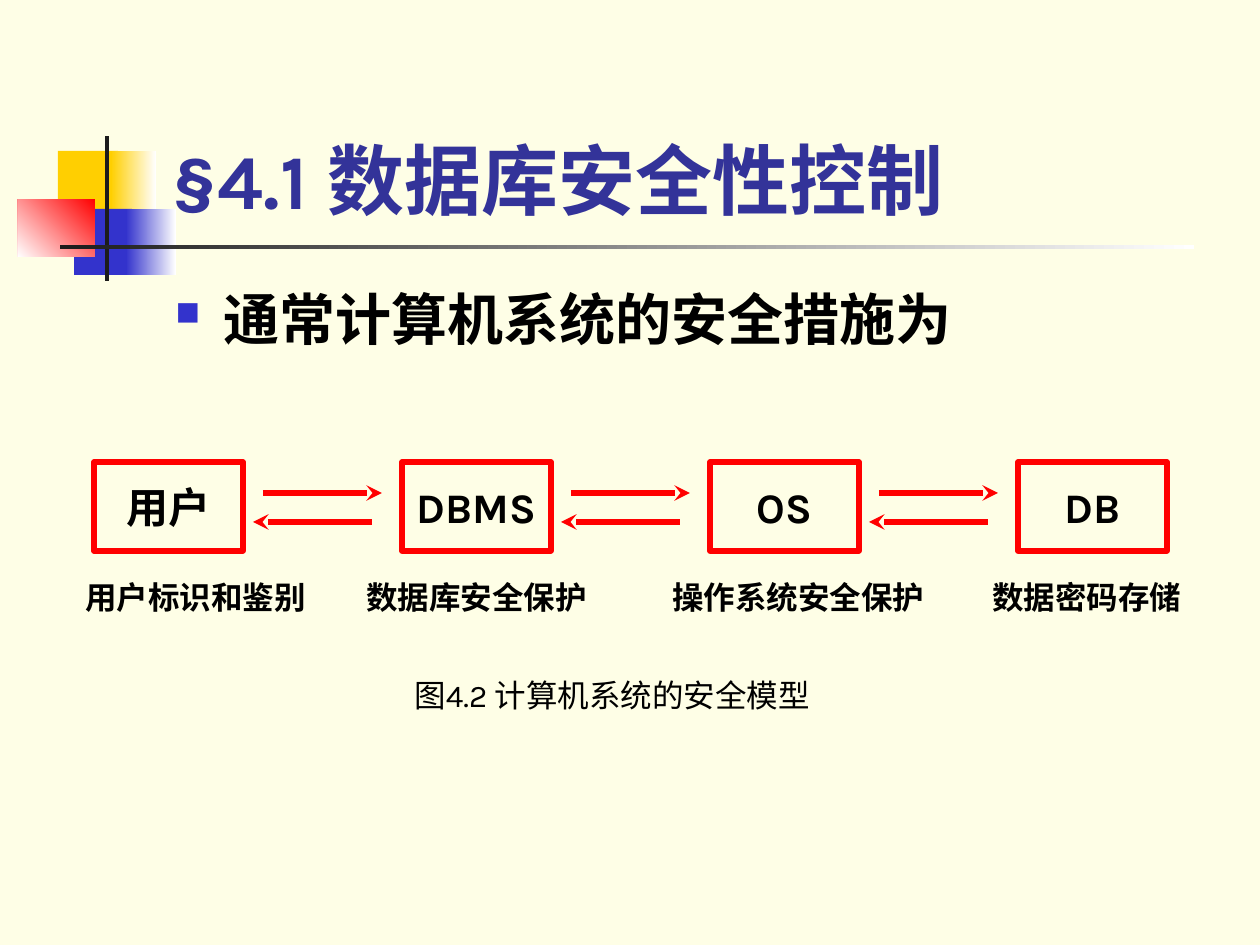
"""Build the slide on the security model of a computer system."""
import dataclasses

import lxml.etree
import pptx
import pptx.dml.color
import pptx.enum.shapes
import pptx.enum.text
import pptx.oxml.ns
import pptx.util

EMU_PER_PX = 914400 / 126


@dataclasses.dataclass(frozen=True)
class Theme:
    """Colours, font and type sizes of the slide."""

    font: str = "Karla"
    background: str = "FEFEE6"
    title: str = "333399"
    text: str = "000000"
    accent: str = "FF0000"
    yellow: str = "FFCF01"
    blue: str = "3333CC"
    dark: str = "1C1C1C"
    white: str = "FFFFFF"
    title_size: int = 44
    body_size: int = 32
    box_size: int = 24
    label_size: int = 18
    line_width: int = 3


THEME = Theme()


def px(length):
    """Turn a length in px into EMU."""
    return pptx.util.Emu(round(length * EMU_PER_PX))


def rgb(colour):
    """Turn a hex string into a colour."""
    return pptx.dml.color.RGBColor.from_string(colour)


def add_xml(parent, tag, **attributes):
    """Append a DrawingML element to a parent."""
    return lxml.etree.SubElement(parent, pptx.oxml.ns.qn(tag), attributes)


def write(shape, text, size, colour=THEME.text, bold=True, wrap=True,
          anchor=pptx.enum.text.MSO_ANCHOR.TOP, align=pptx.enum.text.PP_ALIGN.LEFT):
    """Set and format the single paragraph of a shape."""
    frame = shape.text_frame
    frame.text = text
    frame.auto_size = pptx.enum.text.MSO_AUTO_SIZE.NONE
    frame.word_wrap = wrap
    frame.vertical_anchor = anchor
    paragraph = frame.paragraphs[0]
    paragraph.alignment = align
    for run in paragraph.runs:
        run.font.name = THEME.font
        run.font.size = pptx.util.Pt(size)
        run.font.bold = bold
        run.font.color.rgb = rgb(colour)
    return paragraph


def add_rectangle(slide, left, top, width, height):
    """Add a rectangle without shadow, fill or outline."""
    shape = slide.shapes.add_shape(
        pptx.enum.shapes.MSO_SHAPE.RECTANGLE, px(left), px(top), px(width), px(height))
    shape.shadow.inherit = False
    shape.fill.background()
    shape.line.fill.background()
    return shape


def add_solid(slide, bounds, colour):
    """Add a plain coloured rectangle."""
    fill = add_rectangle(slide, *bounds).fill
    fill.solid()
    fill.fore_color.rgb = rgb(colour)


def add_gradient(slide, bounds, start, end, angle=180):
    """Add a rectangle with a two-colour linear gradient."""
    fill = add_rectangle(slide, *bounds).fill
    fill.gradient()
    fill.gradient_angle = angle
    for stop, colour in zip(fill.gradient_stops, (start, end)):
        stop.color.rgb = rgb(colour)


def add_text(slide, left, top, width, height, text, size, **style):
    """Add a text box and return its paragraph."""
    box = slide.shapes.add_textbox(px(left), px(top), px(width), px(height))
    return write(box, text, size, **style)


def add_bullet(paragraph):
    """Give a paragraph a hanging square bullet."""
    properties = paragraph._p.get_or_add_pPr()
    properties.set("marL", str(px(48)))
    properties.set("indent", str(px(-48)))
    add_xml(add_xml(properties, "a:buClr"), "a:srgbClr", val=THEME.blue)
    add_xml(properties, "a:buSzPct", val="60000")
    add_xml(properties, "a:buChar", char="■")


def add_arrow(slide, start, end, y):
    """Add a horizontal arrow from start to end."""
    arrow = slide.shapes.add_connector(
        pptx.enum.shapes.MSO_CONNECTOR.STRAIGHT, px(start), px(y), px(end), px(y))
    arrow.line.color.rgb = rgb(THEME.accent)
    arrow.line.width = pptx.util.Pt(THEME.line_width)
    add_xml(arrow.line._get_or_add_ln(), "a:tailEnd", type="stealth")
    add_xml(arrow._element.spPr, "a:effectLst")


def add_stage(slide, left, name):
    """Add one outlined box of the security chain."""
    box = add_rectangle(slide, left, 462, 149, 89)
    box.line.color.rgb = rgb(THEME.accent)
    box.line.width = pptx.util.Pt(THEME.line_width)
    write(box, name, THEME.box_size, wrap=False,
          anchor=pptx.enum.text.MSO_ANCHOR.MIDDLE, align=pptx.enum.text.PP_ALIGN.CENTER)


def add_decoration(slide):
    """Add the coloured blocks and rules beside the title."""
    add_solid(slide, (58, 151, 60, 66), THEME.yellow)
    add_gradient(slide, (111, 151, 45, 66), THEME.white, THEME.yellow)
    add_solid(slide, (74, 209, 58, 66), THEME.blue)
    add_gradient(slide, (126, 209, 50, 66), THEME.white, THEME.blue)
    add_gradient(slide, (18, 199, 77, 58), THEME.accent, THEME.white, angle=225)
    add_solid(slide, (105, 136, 4, 145), THEME.dark)
    add_gradient(slide, (60, 245, 1134, 4), THEME.white, THEME.dark)


def add_title(slide, text):
    """Place and format the title placeholder."""
    title = slide.shapes.title
    title.left, title.top, title.width, title.height = px(159), px(29), px(1074), px(202)
    write(title, text, THEME.title_size, colour=THEME.title,
          anchor=pptx.enum.text.MSO_ANCHOR.BOTTOM)


def add_chain(slide):
    """Add the stages, the arrows between them and their labels."""
    stages = [
        ("用户", "用户标识和鉴别", 73, 246),
        ("DBMS", "数据库安全保护", 354, 246),
        ("OS", "操作系统安全保护", 660, 277),
        ("DB", "数据密码存储", 980, 214),
    ]
    first_left, pitch = 94, 308
    for index, (name, label, label_left, label_width) in enumerate(stages):
        left = first_left + index * pitch
        add_stage(slide, left, name)
        add_text(slide, label_left, 572, label_width, 50, label, THEME.label_size, wrap=False)
        if index < len(stages) - 1:
            add_arrow(slide, left + 169, left + 288, 493)
            add_arrow(slide, left + 278, left + 159, 522)


def main():
    """Build and save the presentation."""
    presentation = pptx.Presentation()
    presentation.slide_width, presentation.slide_height = px(1260), px(945)
    slide = presentation.slides.add_slide(presentation.slide_layouts[5])
    slide.background.fill.solid()
    slide.background.fill.fore_color.rgb = rgb(THEME.background)
    add_decoration(slide)
    add_title(slide, "§4.1 数据库安全性控制")
    add_bullet(add_text(slide, 163, 278, 1071, 611, "通常计算机系统的安全措施为", THEME.body_size))
    add_chain(slide)
    add_text(slide, 402, 670, 456, 50, "图4.2 计算机系统的安全模型", THEME.label_size, bold=False)
    presentation.save("out.pptx")


if __name__ == "__main__":
    main()
